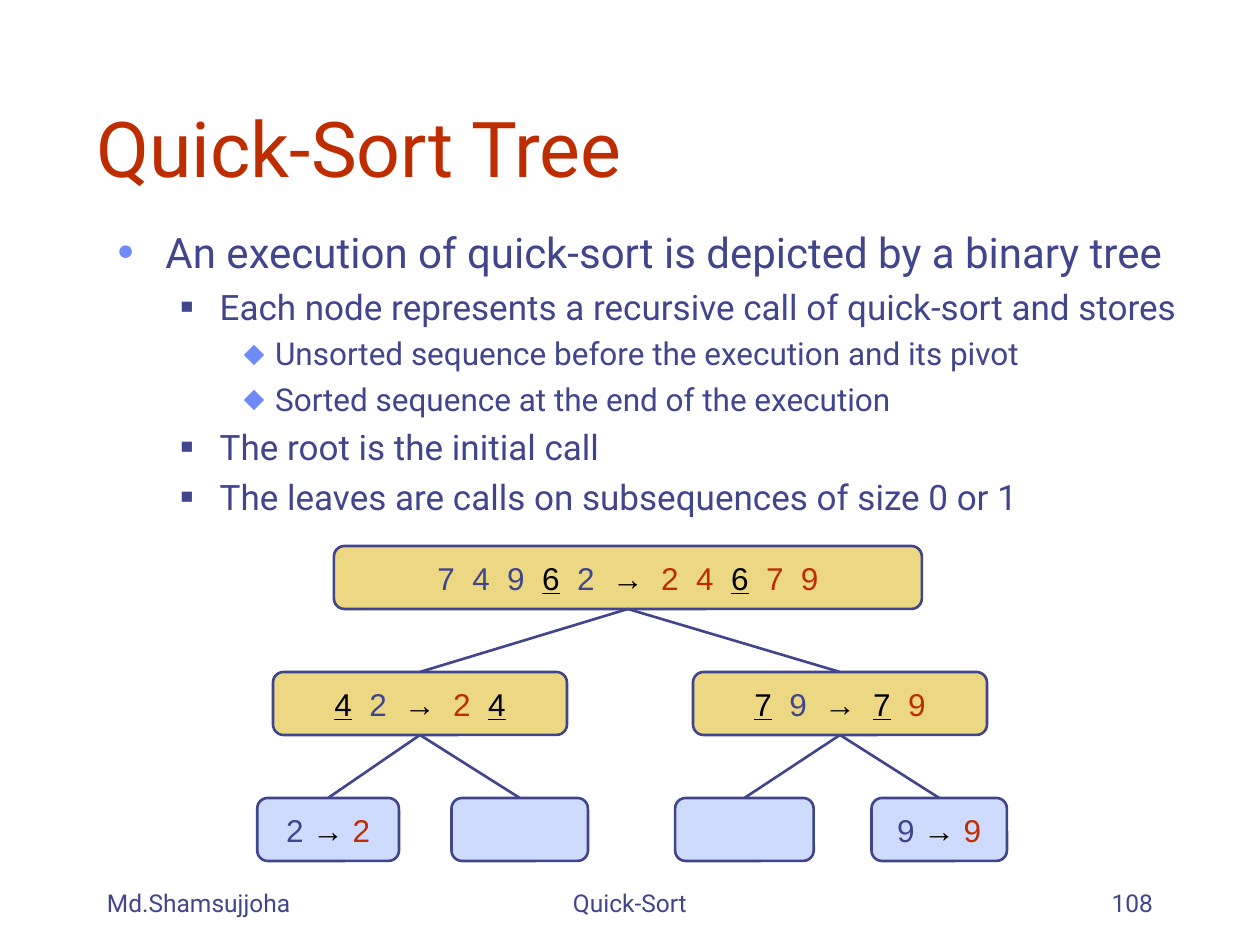
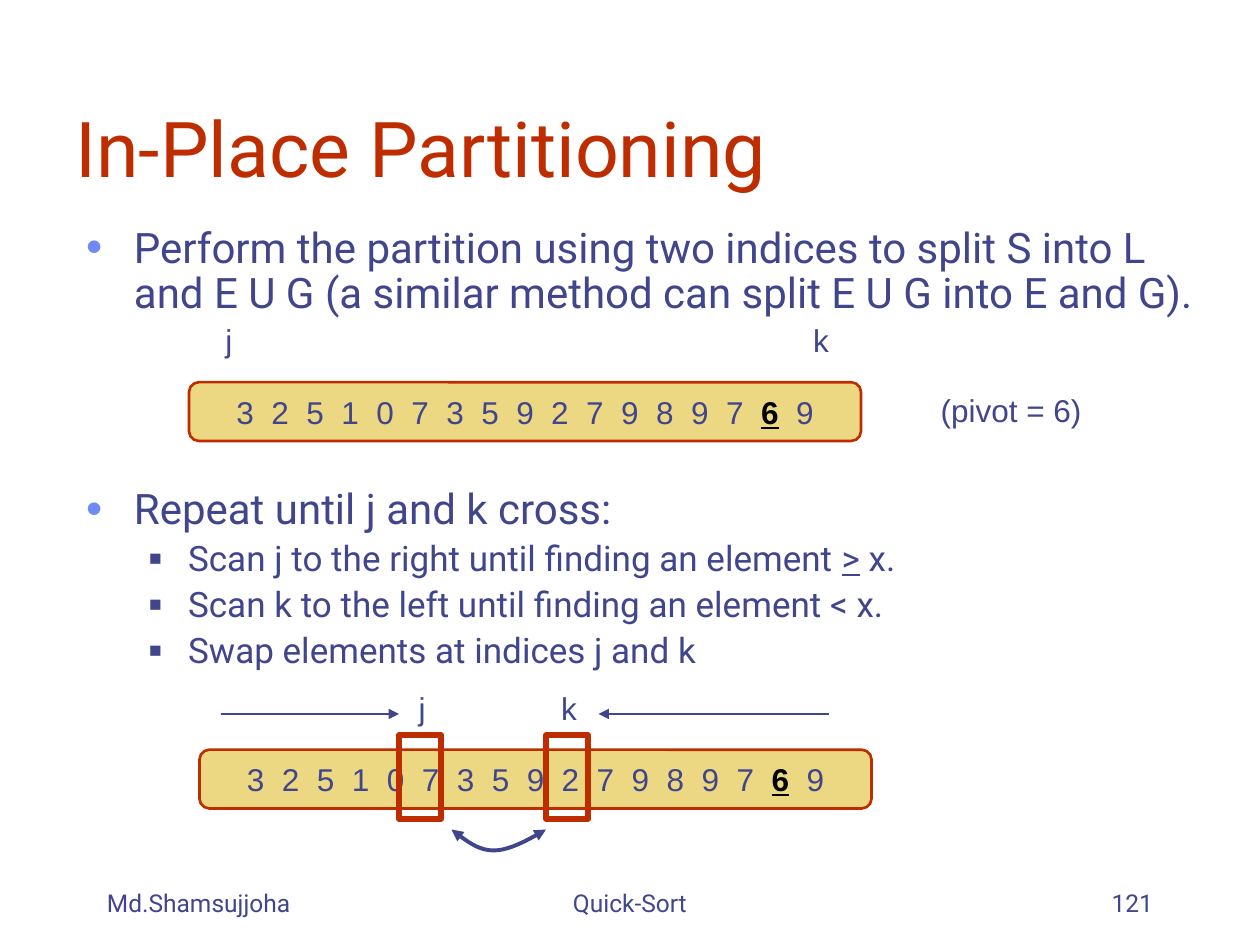
from lxml import etree
from pptx import Presentation
from pptx.dml.color import RGBColor
from pptx.enum.shapes import MSO_CONNECTOR, MSO_SHAPE
from pptx.enum.text import MSO_ANCHOR, MSO_AUTO_SIZE, PP_ALIGN
from pptx.oxml.ns import qn
from pptx.util import Inches, Pt

LEFT, MID, RIGHT = PP_ALIGN.LEFT, PP_ALIGN.CENTER, PP_ALIGN.RIGHT
LOW, CENTER, TOP = MSO_ANCHOR.BOTTOM, MSO_ANCHOR.MIDDLE, MSO_ANCHOR.TOP
ROUND, RECT = MSO_SHAPE.ROUNDED_RECTANGLE, MSO_SHAPE.RECTANGLE
STRAIGHT, FIXED = MSO_CONNECTOR.STRAIGHT, MSO_AUTO_SIZE.NONE

HEX = {"navy": "40458C", "red": "BE2D00", "black": "000000",
       "gold": "ECD882", "sky": "CFDBFD", "blue": "6F89F7"}
COLS, ROWS = 120, 90
WIDTH, HEIGHT = Inches(10), Inches(7.5)
# level: text size, left margin, indent, bullet, bullet colour, bullet percent
LEVELS = [(24, 0.38, -0.38, "•", "blue", 110),
          (20, 0.81, -0.31, "■", "navy", 60),
          (18, 1.25, -0.25, "⬥", "blue", 95)]
ARROW = "→"


def rgb(name):
    return RGBColor.from_string(HEX[name])


def apply(item, **vals):
    for key, val in vals.items():
        setattr(item, key, val)


def add(node, tag, **vals):
    child = etree.SubElement(node, qn(tag))
    for key, val in vals.items():
        child.set(key, str(val))
    return child


def grid(x, y, w=0, h=0):
    """Turn columns and rows into slide lengths."""
    col, row = WIDTH / COLS, HEIGHT / ROWS
    return int(x * col), int(y * row), int(w * col), int(h * row)


def curve(a, b, c, d, steps=10):
    """Yield points on a cubic curve after its start."""
    for i in range(1, steps + 1):
        t = i / steps
        u = 1 - t
        yield tuple(u**3 * p + 3 * u * u * t * q + 3 * u * t * t * r + t**3 * s
                    for p, q, r, s in zip(a, b, c, d))


class Deck:
    def __init__(self):
        self.prs = Presentation()
        apply(self.prs, slide_width=WIDTH, slide_height=HEIGHT)
        self.slide = None

    def start(self, title, x, page):
        self.slide = self.prs.slides.add_slide(self.prs.slide_layouts[1])
        head = self.slide.shapes.title
        self.place(head, (x, 4, 102, 15))
        para = self.frame(head, LOW, LEFT, True)
        self.run(para, title, 44, "red", "Roboto")
        for box, text, align in [((9, 82, 25, 6), "Md.Shamsujjoha", LEFT),
                                 ((41, 82, 38, 6), "Quick-Sort", MID),
                                 ((86, 82, 25, 6), str(page), RIGHT)]:
            foot = self.slide.shapes.add_textbox(*grid(*box))
            self.run(self.frame(foot, LOW, align, True), text, 14, "navy", "Roboto")

    def place(self, shape, box):
        apply(shape, **dict(zip(("left", "top", "width", "height"), grid(*box))))

    def frame(self, shape, anchor=CENTER, align=MID, wrap=False):
        frame = shape.text_frame
        apply(frame, auto_size=FIXED, word_wrap=wrap, vertical_anchor=anchor)
        para = frame.paragraphs[0]
        para.alignment = align
        return para

    def run(self, para, text, size=18, color="navy", face="Arial", **look):
        run = para.add_run()
        run.text = text
        apply(run.font, size=Pt(size), name=face, **look)
        run.font.color.rgb = rgb(color)
        return run

    def bullets(self, box, items, pitch=1.0):
        """Fill the body with (level, text, extra points above); _x_ underlines."""
        body = self.slide.placeholders[1]
        self.place(body, box)
        para = self.frame(body, TOP, LEFT, True)
        for i, (level, text, extra) in enumerate(items):
            if i:
                para = body.text_frame.add_paragraph()
            size, left, indent, mark, color, scale = LEVELS[level]
            apply(para, level=level, alignment=LEFT, line_spacing=pitch,
                  space_before=Pt(size * 0.23 + extra))
            prop = para._p.get_or_add_pPr()
            prop.set("marL", str(Inches(left)))
            prop.set("indent", str(Inches(indent)))
            add(add(prop, "a:buClr"), "a:srgbClr", val=HEX[color])
            add(prop, "a:buSzPct", val=scale * 1000)
            add(prop, "a:buFont", typeface="Arial")
            add(prop, "a:buChar", char=mark)
            for j, part in enumerate(text.split("_")):
                look = {"underline": True} if j % 2 else {}
                self.run(para, part, size, "navy", "Roboto", **look)

    def label(self, text, box):
        self.run(self.frame(self.slide.shapes.add_textbox(*grid(*box))), text)

    def shape(self, kind, box, fill, line, width=1.5):
        shape = self.slide.shapes.add_shape(kind, *grid(*box))
        self.outline(shape, line, width)
        if fill:
            shape.fill.solid()
            shape.fill.fore_color.rgb = rgb(fill)
        else:
            shape.fill.background()
        return shape

    def outline(self, shape, color, width):
        shape.shadow.inherit = False
        shape.line.color.rgb = rgb(color)
        shape.line.width = Pt(width)

    def node(self, box, text="", fill="gold", line="navy", gap=500, bold=False):
        """Draw a sequence: results follow the arrow, _ marks the pivot."""
        node = self.shape(ROUND, box, fill, line)
        node.adjustments[0] = 0.167
        para, color = self.frame(node), "navy"
        for i, word in enumerate(text.split()):
            if i:
                space = self.run(para, " ")
                space.font._element.set("spc", str(gap))
            if word == ARROW:
                self.run(para, word, color="black", bold=True)
                color = "red"
            elif word[0] == "_":
                self.run(para, word[1:], color="black", underline=True, bold=bold)
            else:
                self.run(para, word, color=color)
        return node

    def line(self, start=(0, 0), end=(0, 0)):
        a, b = grid(*start)[:2], grid(*end)[:2]
        line = self.slide.shapes.add_connector(STRAIGHT, *a, *b)
        line.line.color.rgb = rgb("navy")
        line.line.width = Pt(1.5)
        add(line._element.spPr, "a:effectLst")
        return line

    def join(self, top, child):
        line = self.line()
        line.begin_connect(top, 2)
        line.end_connect(child, 0)

    def tips(self, shape, *ends):
        edge = shape._element.spPr.find(qn("a:ln"))
        for end in ends:
            add(edge, f"a:{end}", type="triangle")

    def arc(self, start, *parts):
        """Draw a double arrow along cubic parts, each given by three points."""
        form = self.slide.shapes.build_freeform(*grid(*start)[:2], scale=1.0)
        for part in parts:
            form.add_line_segments([grid(*p)[:2] for p in curve(start, *part)], close=False)
            start = part[-1]
        shape = form.convert_to_shape()
        shape.fill.background()
        self.outline(shape, "navy", 2.25)
        self.tips(shape, "headEnd", "tailEnd")


def tree(deck):
    deck.start("Quick-Sort Tree", 8, 108)
    deck.bullets((10, 21, 104, 30), [
        (0, "An execution of quick-sort is depicted by a binary tree", 0),
        (1, "Each node represents a recursive call of quick-sort and stores", 0),
        (2, "Unsorted sequence before the execution and its pivot", 0),
        (2, "Sorted sequence at the end of the execution", 0),
        (1, "The root is the initial call", 0),
        (1, "The leaves are calls on subsequences of size 0 or 1", 0)])
    root = deck.node((31.8, 52, 56, 6), "7 4 9 _6 2 → 2 4 _6 7 9")
    calls = [(26, "_4 2 → 2 _4", [(24.5, 13.5, "2 → 2"), (43, 13, "")]),
             (66, "_7 9 → _7 9", [(64.3, 13.2, ""), (83, 12.9, "9 → 9")])]
    for x, text, leaves in calls:
        call = deck.node((x, 64, 28, 6), text)
        deck.join(root, call)
        for left, width, part in leaves:
            leaf = deck.node((left, 76, width, 6), part, "sky", gap=0)
            deck.join(call, leaf)


def split(deck):
    deck.start("In-Place Partitioning", 6, 121)
    deck.bullets((7, 21, 110, 63), [
        (0, "Perform the partition using two indices to split S into L and E U G "
            "(a similar method can split E U G into E and G).", 0),
        (0, "Repeat until j and k cross:", 92),
        (1, "Scan j to the right until finding an element _>_ x.", 0),
        (1, "Scan k to the left until finding an element < x.", 0),
        (1, "Swap elements at indices j and k", 0)], 0.9)
    for x, y, j, k in [(18, 36.4, 20, 76), (19, 71.4, 38.4, 52)]:
        deck.node((x, y, 64, 5.6), "3 2 5 1 0 7 3 5 9 2 7 9 8 9 7 _6 9",
                  line="red", bold=True)
        deck.label("j", (j, y - 7, 3.6, 6))
        deck.label("k", (k, y - 7, 4.4, 6))
    deck.label("(pivot = 6)", (85.4, 36, 21.8, 6))
    for start, end, cell in [(21, 38, 38), (79, 57, 52)]:
        deck.tips(deck.line((start, 68), (end, 68)), "tailEnd")
        deck.shape(RECT, (cell, 70, 4, 8), None, "red", 3)
    deck.arc((43, 79), [(44.3, 80), (45.5, 81), (47, 81)],
             [(48.5, 81), (50.3, 80), (52, 79)])


def main():
    deck = Deck()
    tree(deck)
    split(deck)
    deck.prs.save("out.pptx")


if __name__ == "__main__":
    main()
